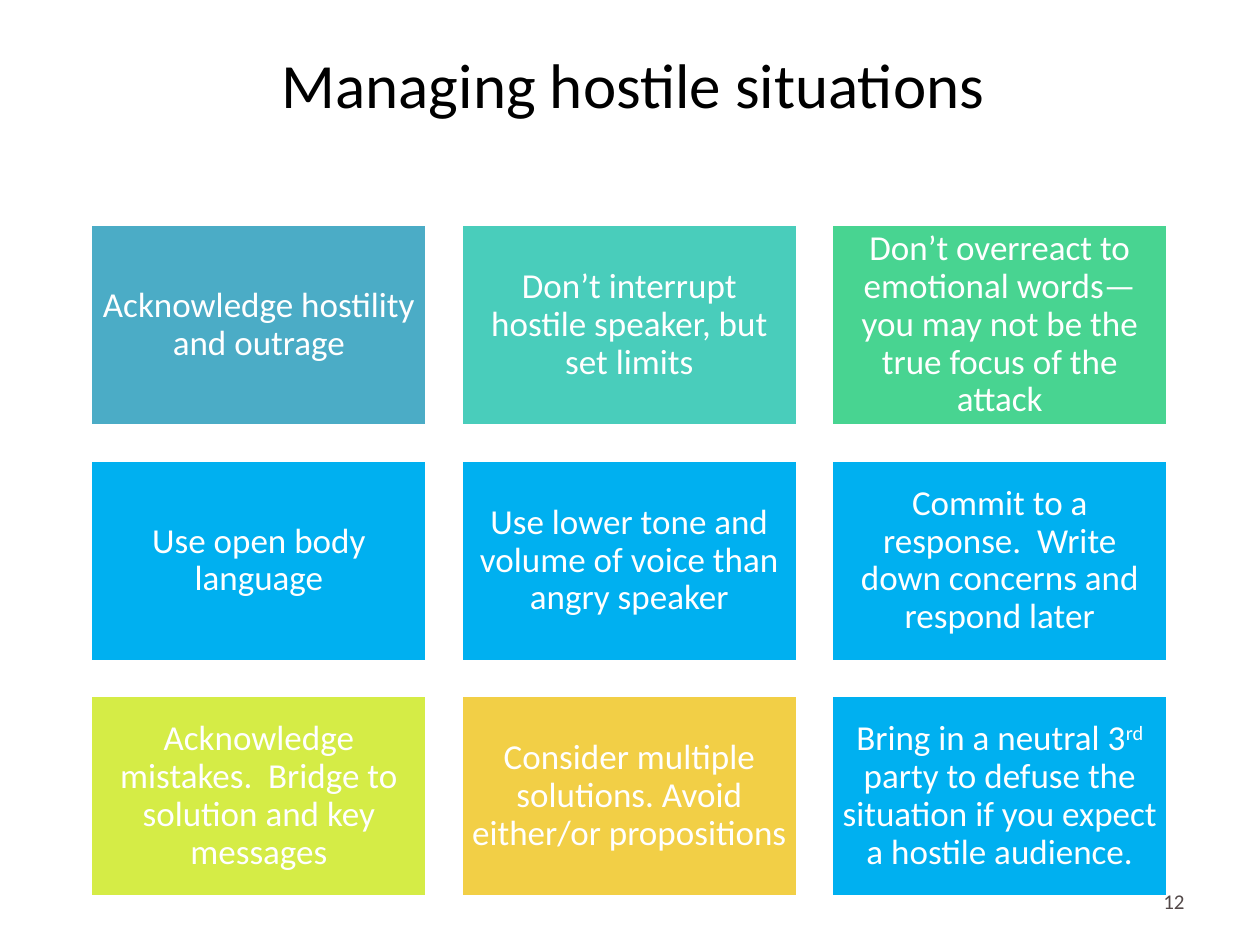
from pptx import Presentation
from pptx.dml.color import RGBColor
from pptx.enum.shapes import MSO_SHAPE
from pptx.enum.text import MSO_ANCHOR, PP_ALIGN
from pptx.util import Inches, Pt

RECTANGLE = MSO_SHAPE.RECTANGLE
MIDDLE = MSO_ANCHOR.MIDDLE
CENTER, RIGHT = PP_ALIGN.CENTER, PP_ALIGN.RIGHT

WHITE = RGBColor(0xFF, 0xFF, 0xFF)
BLACK = RGBColor(0x00, 0x00, 0x00)
BROWN = RGBColor(0x53, 0x49, 0x49)
BLUE = RGBColor(0x00, 0xB0, 0xF0)
STEEL = RGBColor(0x4B, 0xAC, 0xC6)
TEAL = RGBColor(0x49, 0xCD, 0xBB)
GREEN = RGBColor(0x48, 0xD4, 0x91)
LIME = RGBColor(0xD5, 0xEC, 0x46)
YELLOW = RGBColor(0xF2, 0xCF, 0x46)

# Content: tiles in reading order; "^" sets off a superscript
TITLE = "Managing hostile situations"
PAGE_NUMBER = "12"
TILES = [
    ("Acknowledge hostility and outrage", STEEL),
    ("Don’t interrupt hostile speaker, but set limits", TEAL),
    ("Don’t overreact to emotional words—you may not be the true focus of the attack", GREEN),
    ("Use open body language", BLUE),
    ("Use lower tone and volume of voice than angry speaker", BLUE),
    ("Commit to a response.  Write down concerns and respond later", BLUE),
    ("Acknowledge mistakes.  Bridge to solution and key messages", LIME),
    ("Consider multiple solutions. Avoid either/or propositions", YELLOW),
    ("Bring in a neutral 3^rd^ party to defuse the situation if you expect a hostile audience.", BLUE),
]

# Grid, in inches
COLUMNS = 3
LEFT, TOP = 0.72, 1.78
TILE_WIDTH, TILE_HEIGHT = 2.67, 1.6
GAP = 0.27


def write(shape, text, size, color, align=CENTER, spacing=1.0, inset=None):
    frame = shape.text_frame
    frame.word_wrap = True
    frame.vertical_anchor = MIDDLE
    if inset is not None:
        frame.margin_left = frame.margin_right = Inches(inset)
        frame.margin_top = frame.margin_bottom = Inches(inset)
    para = frame.paragraphs[0]
    para.alignment = align
    para.line_spacing = spacing
    for index, piece in enumerate(text.split("^")):
        span = para.add_run()
        span.text = piece
        span.font.name = "Calibri"
        span.font.size = Pt(size)
        span.font.color.rgb = color
        if index % 2:
            span._r.get_or_add_rPr().set("baseline", "30000")


deck = Presentation()
deck.slide_width, deck.slide_height = Inches(10), Inches(7.5)
page = deck.slides.add_slide(deck.slide_layouts[6])

# Tiles
for index, (text, color) in enumerate(TILES):
    row, column = divmod(index, COLUMNS)
    tile = page.shapes.add_shape(
        RECTANGLE,
        Inches(LEFT + column * (TILE_WIDTH + GAP)),
        Inches(TOP + row * (TILE_HEIGHT + GAP)),
        Inches(TILE_WIDTH), Inches(TILE_HEIGHT))
    tile.shadow.inherit = False
    tile.fill.solid()
    tile.fill.fore_color.rgb = color
    tile.line.color.rgb = WHITE
    tile.line.width = Pt(2)
    write(tile, text, 20, WHITE, spacing=0.9, inset=0.08)

# Title and page number
title = page.shapes.add_textbox(Inches(0.78), Inches(0.31), Inches(8.49), Inches(0.7))
write(title, TITLE, 36, BLACK)
number = page.shapes.add_textbox(Inches(7.17), Inches(6.95), Inches(2.33), Inches(0.4))
write(number, PAGE_NUMBER, 12, BROWN, align=RIGHT)

deck.save("out.pptx")
